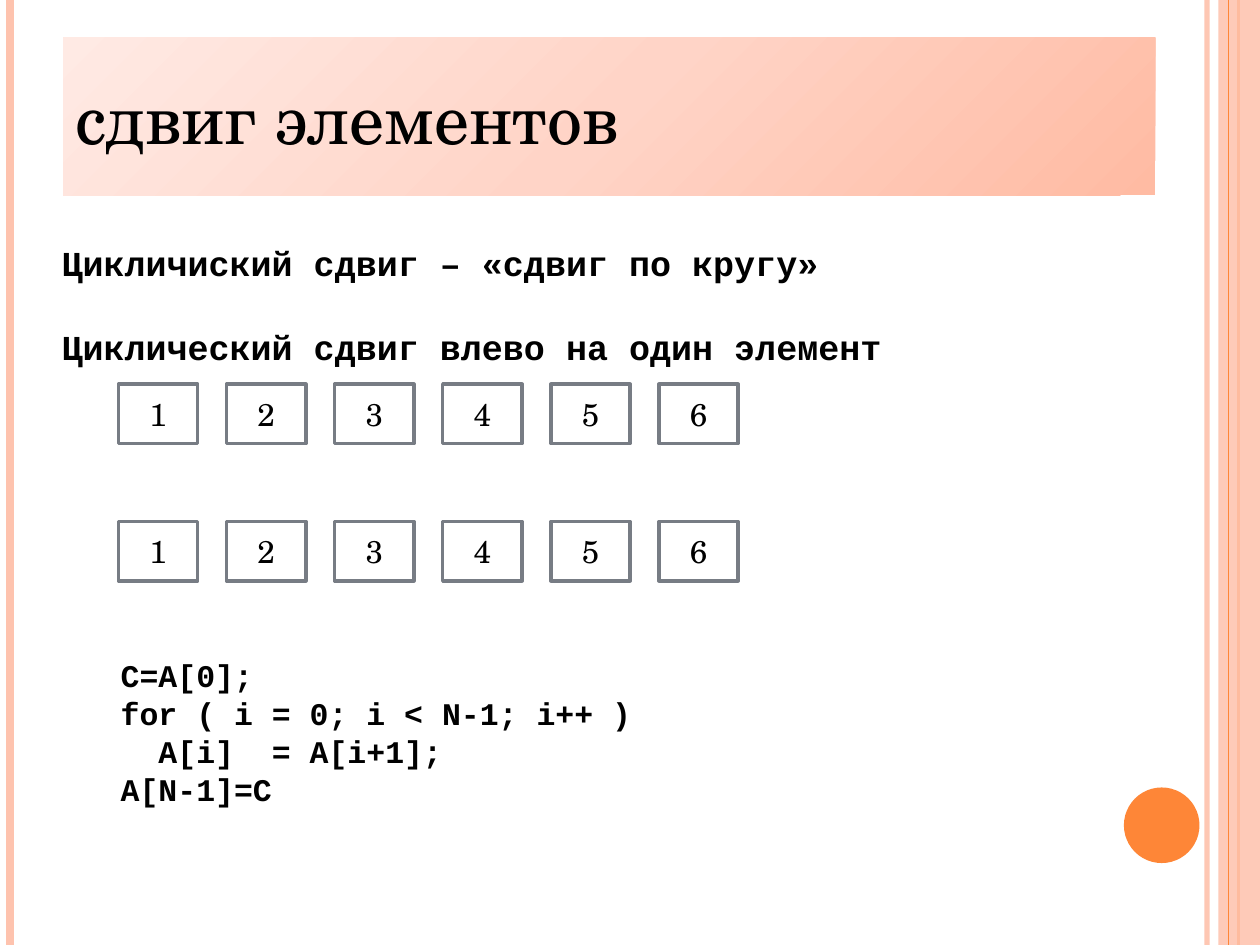
from copy import deepcopy

from lxml import etree
from pptx import Presentation
from pptx.dml.color import RGBColor
from pptx.enum.shapes import MSO_CONNECTOR, MSO_SHAPE
from pptx.enum.text import MSO_ANCHOR, MSO_AUTO_SIZE, PP_ALIGN
from pptx.oxml.ns import qn
from pptx.util import Inches, Pt

STRAIGHT = MSO_CONNECTOR.STRAIGHT
RECTANGLE, OVAL = MSO_SHAPE.RECTANGLE, MSO_SHAPE.OVAL
MIDDLE = MSO_ANCHOR.MIDDLE
NO_AUTOFIT = MSO_AUTO_SIZE.NONE
LEFT, CENTER, JUSTIFY = PP_ALIGN.LEFT, PP_ALIGN.CENTER, PP_ALIGN.JUSTIFY

WIDTH, HEIGHT = 10, 7.5
SERIF, MONO = "TeX Gyre Schola", "Courier New"
COLORS = {
    "orange": "FE8637", "peach": "FEC3AE", "ink": "000000",
    "paper": "FFFFFF", "border": "777C84",
}
TITLE_STOPS = [(0, "FFBBA3"), (0.5, "FFD4C7"), (1, "FFEAE4")]
INTRO = ["Цикличиский сдвиг – «сдвиг по кругу»",
         "Циклический сдвиг влево на один элемент"]
CODE = ["C=A[0];", "for ( i = 0; i < N-1; i++ )", "  A[i]  = A[i+1];", "A[N-1]=C"]
CELLS = ["1", "2", "3", "4", "5", "6"]
CELL_SHARE = 0.63 / 4.92


def rgb(name):
    return RGBColor.from_string(COLORS[name])


def inches(box):
    return [Inches(length) for length in box]


def set_font(para, name, size, bold=False):
    para.font.name, para.font.size, para.font.bold = name, Pt(size), bold
    para.font.color.rgb = rgb("ink")


def set_alpha(element, percent):
    color = next(element.iter(qn("a:srgbClr")))
    etree.SubElement(color, qn("a:alpha"), val=str(percent * 1000))


def add_shape(page, kind, box, fill):
    shape = page.shapes.add_shape(kind, *inches(box))
    shape.shadow.inherit = False
    shape.fill.solid()
    shape.fill.fore_color.rgb = rgb(fill)
    shape.line.fill.background()
    return shape


def add_rule(page, x, color, weight):
    rule = page.shapes.add_connector(STRAIGHT, *inches((x, 0, x, HEIGHT)))
    rule.line.color.rgb = rgb(color)
    rule.line.width = Pt(weight)
    etree.SubElement(rule._element.spPr, qn("a:effectLst"))
    return rule


def add_frame(page):
    set_alpha(add_rule(page, 0.958 * WIDTH, "peach", 3)._element, 93)
    add_rule(page, 0.008 * WIDTH, "peach", 4.5)
    add_rule(page, 0.983 * WIDTH, "orange", 1.5)
    band = add_shape(page, RECTANGLE, (0.967 * WIDTH, 0, 0.033 * WIDTH, HEIGHT), "peach")
    set_alpha(band._element, 87)
    add_rule(page, 0.975 * WIDTH, "orange", 0.75)
    add_shape(page, OVAL, (8.92, 6.25, 0.6, 0.6), "orange")


def add_title(page, box, text):
    title = page.shapes.title
    title.left, title.top, title.width, title.height = inches(box)
    title.fill.gradient()
    title.fill.gradient_angle = 135
    stop_list = next(title._element.spPr.iter(qn("a:gsLst")))
    stop_list.append(deepcopy(stop_list[0]))
    for stop, (position, color) in zip(title.fill.gradient_stops, TITLE_STOPS):
        stop.position = position
        stop.color.rgb = RGBColor.from_string(color)
    frame = title.text_frame
    frame.text = text
    frame.auto_size = NO_AUTOFIT
    frame.vertical_anchor = MIDDLE
    para = frame.paragraphs[0]
    para.alignment = LEFT
    set_font(para, SERIF, 40)


def add_lines(page, box, lines, size, gap=0):
    frame = page.shapes.add_textbox(*inches(box)).text_frame
    frame.word_wrap = True
    for index, line in enumerate(lines):
        para = frame.add_paragraph() if index else frame.paragraphs[0]
        para.text = line
        para.alignment = JUSTIFY
        para.line_spacing = Pt(1.2 * size)
        para.space_before = Pt(gap if index else 0)
        properties = para._p.get_or_add_pPr()
        properties.set("marL", str(Inches(0.2)))
        properties.set("indent", str(-Inches(0.2)))
        set_font(para, MONO, size, bold=True)


def add_array(page, box, values):
    left, top, width, height = box
    cell_width = CELL_SHARE * width
    step = (width - cell_width) / (len(values) - 1)
    for column, value in enumerate(values):
        cell = add_shape(page, RECTANGLE, (left + column * step, top, cell_width, height), "paper")
        cell.line.color.rgb = rgb("border")
        cell.line.width = Pt(2)
        cell.text_frame.text = value
        cell.text_frame.vertical_anchor = MIDDLE
        para = cell.text_frame.paragraphs[0]
        para.alignment = CENTER
        set_font(para, SERIF, 18)


def main():
    deck = Presentation()
    deck.slide_width, deck.slide_height = Inches(WIDTH), Inches(HEIGHT)
    page = deck.slides.add_slide(deck.slide_layouts[5])
    add_frame(page)
    add_title(page, (0.5, 0.3, 8.67, 1.25), "сдвиг элементов")
    add_lines(page, (0.39, 1.87, 8.67, 1.45), INTRO, 20, gap=24)
    for top in (3.05, 4.14):
        add_array(page, (0.94, top, 4.92, 0.47), CELLS)
    add_lines(page, (0.86, 5.16, 5, 1.31), CODE, 18)
    deck.save("out.pptx")


if __name__ == "__main__":
    main()
